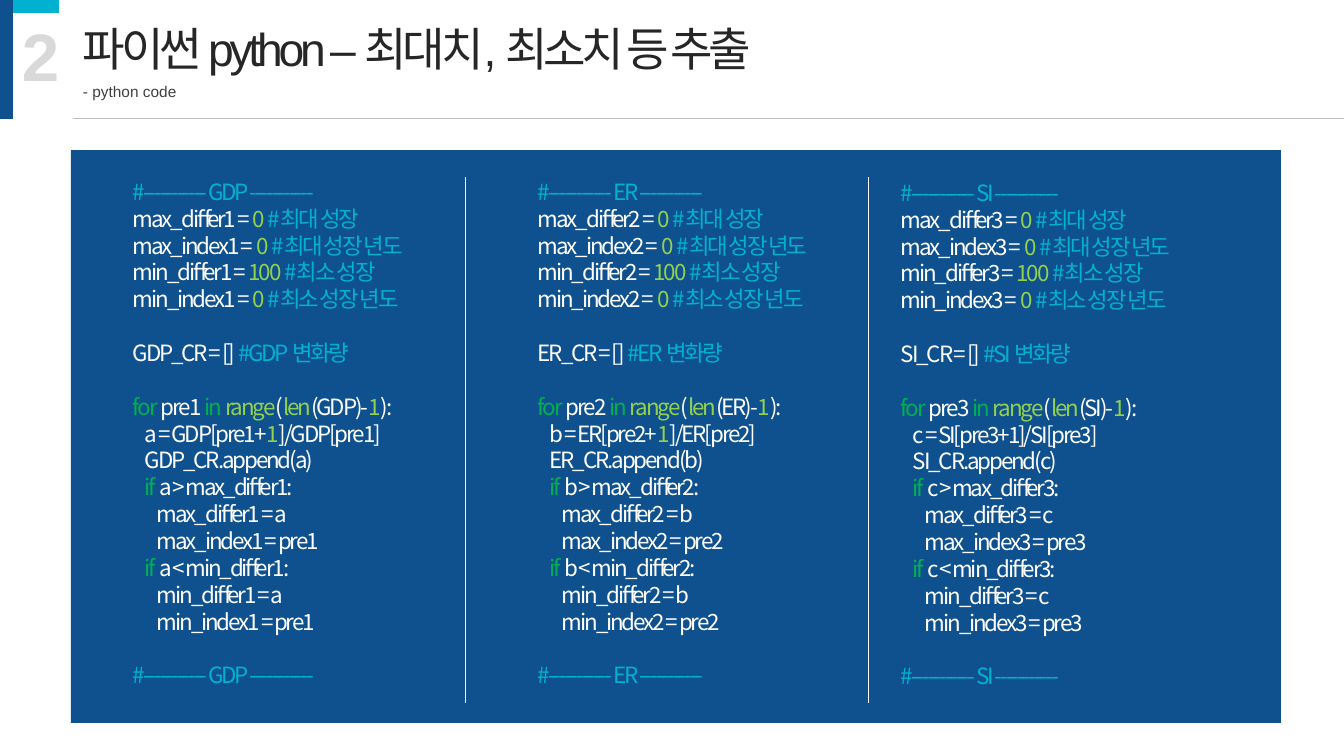
from lxml import etree
from pptx import Presentation
from pptx.dml.color import RGBColor
from pptx.enum.shapes import MSO_CONNECTOR, MSO_SHAPE
from pptx.enum.text import MSO_AUTO_SIZE, PP_ALIGN
from pptx.oxml.ns import qn
from pptx.util import Emu, Pt

RECTANGLE = MSO_SHAPE.RECTANGLE
STRAIGHT = MSO_CONNECTOR.STRAIGHT
GROW = MSO_AUTO_SIZE.SHAPE_TO_FIT_TEXT
JUSTIFY = PP_ALIGN.JUSTIFY

NAVY = RGBColor(0x0F, 0x51, 0x8E)
CYAN = RGBColor(0x01, 0xB1, 0xD0)
LIME = RGBColor(0x92, 0xD0, 0x50)
GREEN = RGBColor(0x00, 0xB0, 0x50)
WHITE = RGBColor(0xFF, 0xFF, 0xFF)
INK = RGBColor(0x26, 0x26, 0x26)
GREY = RGBColor(0x40, 0x40, 0x40)
PALE = RGBColor(0xD9, 0xD9, 0xD9)
RULE = RGBColor(0xBF, 0xBF, 0xBF)

HEADING_FONT = "Arial"
CODE_FONT = "Noto Sans CJK KR"
LINE_HEIGHT = Pt(19.2)
INDENT = 12  # px for each code level

# Places are left, top, width, height in px
BLOCKS = [
    ((71, 150, 1210, 573), NAVY),
    ((0, 0, 13, 119), NAVY),
    ((13, 0, 46, 13), CYAN),
]
HEADINGS = [
    ((73, 15, 943, 67), "파이썬 python – 최대치, 최소치 등 추출", True, -300,
     {"size": Pt(33), "name": HEADING_FONT}, INK),
    ((73, 77, 114, 29), "- python code", False, 0,
     {"size": Pt(11), "name": HEADING_FONT}, GREY),
    ((12, 9, 58, 92), "2", False, 0,
     {"size": Pt(48), "name": HEADING_FONT, "bold": True}, PALE),
]
# Ends are from x, from y, to x, to y in px
LINES = [
    ((73, 118, 1344, 118), RULE),
    ((465, 177, 465, 703), WHITE),
    ((868, 177, 868, 703), WHITE),
]
# Place, base indent in px, series name, loop number, loop variable, colour of the "+1" digit
COLUMNS = [
    ((73, 173, 613, 526), 50, "GDP", 1, "a", LIME),
    ((528, 173, 379, 553), 0, "ER", 2, "b", LIME),
    ((891, 174, 379, 526), 0, "SI", 3, "c", WHITE),
]


def code_lines(series, number, variable, digit_color):
    """Return (level, gap before, coloured pieces) for each line of one column."""
    banner = [(f"#----------- {series} -----------", CYAN)]
    starts = [
        ("max_differ", "0", "최대 성장"),
        ("max_index", "0", "최대 성장 년도"),
        ("min_differ", "100", "최소 성장"),
        ("min_index", "0", "최소 성장 년도"),
    ]
    lines = [(0, False, banner)]
    for name, value, note in starts:
        lines.append((0, False, [(f"{name}{number} = ", WHITE), (f"{value} ", LIME),
                                 (f"#{note}", CYAN)]))
    lines += [
        (0, True, [(f"{series}_CR = [] ", WHITE), (f"#{series} 변화량", CYAN)]),
        (0, True, [("for", GREEN), (f" pre{number} ", WHITE), ("in ", GREEN),
                   ("range", LIME), ("(", WHITE), ("len", LIME),
                   (f"({series})-", WHITE), ("1", LIME), ("):", WHITE)]),
        (1, False, [(f"{variable} = {series}[pre{number}+", WHITE), ("1", digit_color),
                    (f"]/{series}[pre{number}]", WHITE)]),
        (1, False, [(f"{series}_CR.append({variable})", WHITE)]),
    ]
    for name, sign in (("max", ">"), ("min", "<")):
        lines += [
            (1, False, [("if", GREEN),
                        (f" {variable} {sign} {name}_differ{number}:", WHITE)]),
            (2, False, [(f"{name}_differ{number} = {variable}", WHITE)]),
            (2, False, [(f"{name}_index{number} = pre{number}", WHITE)]),
        ]
    return lines + [(0, True, banner)]


def px(length):
    return Emu(round(length * 914400 / 100.8))


def add_span(para, text, formats, color, spacing):
    span = para.add_run()
    span.text = text
    for key, value in formats.items():
        setattr(span.font, key, value)
    span.font.color.rgb = color
    properties = span._r.get_or_add_rPr()
    if spacing:
        properties.set("spc", str(spacing))
    etree.SubElement(properties, qn("a:ea"), typeface=CODE_FONT)


def add_box(page, place, wrap):
    box = page.shapes.add_textbox(*map(px, place))
    box.text_frame.word_wrap = wrap
    box.text_frame.auto_size = GROW
    return box.text_frame


def add_block(page, place, color):
    block = page.shapes.add_shape(RECTANGLE, *map(px, place))
    block.shadow.inherit = False
    block.fill.solid()
    block.fill.fore_color.rgb = color
    block.line.fill.background()


def add_line(page, ends, color):
    line = page.shapes.add_connector(STRAIGHT, *map(px, ends))
    line.line.color.rgb = color
    line.line.width = Pt(0.5)
    etree.SubElement(line._element.spPr, qn("a:effectLst"))


def add_code(page, place, base, lines):
    frame = add_box(page, place, True)
    formats = {"size": Pt(16), "name": CODE_FONT}
    for index, (level, gap, pieces) in enumerate(lines):
        para = frame.add_paragraph() if index else frame.paragraphs[0]
        para.alignment = JUSTIFY
        para.line_spacing = LINE_HEIGHT
        para.space_before = LINE_HEIGHT if gap else Pt(0)
        properties = para._p.get_or_add_pPr()
        properties.set("marL", str(px(base + level * INDENT)))
        properties.set("indent", "0")
        for text, color in pieces:
            add_span(para, text, formats, color, -150)


def main():
    deck = Presentation()
    deck.slide_width, deck.slide_height = px(1344), px(756)
    page = deck.slides.add_slide(deck.slide_layouts[6])
    for place, color in BLOCKS:
        add_block(page, place, color)
    for place, text, wrap, spacing, formats, color in HEADINGS:
        frame = add_box(page, place, wrap)
        add_span(frame.paragraphs[0], text, formats, color, spacing)
    for place, base, *names in COLUMNS:
        add_code(page, place, base, code_lines(*names))
    for ends, color in LINES:
        add_line(page, ends, color)
    deck.save("out.pptx")


if __name__ == "__main__":
    main()
